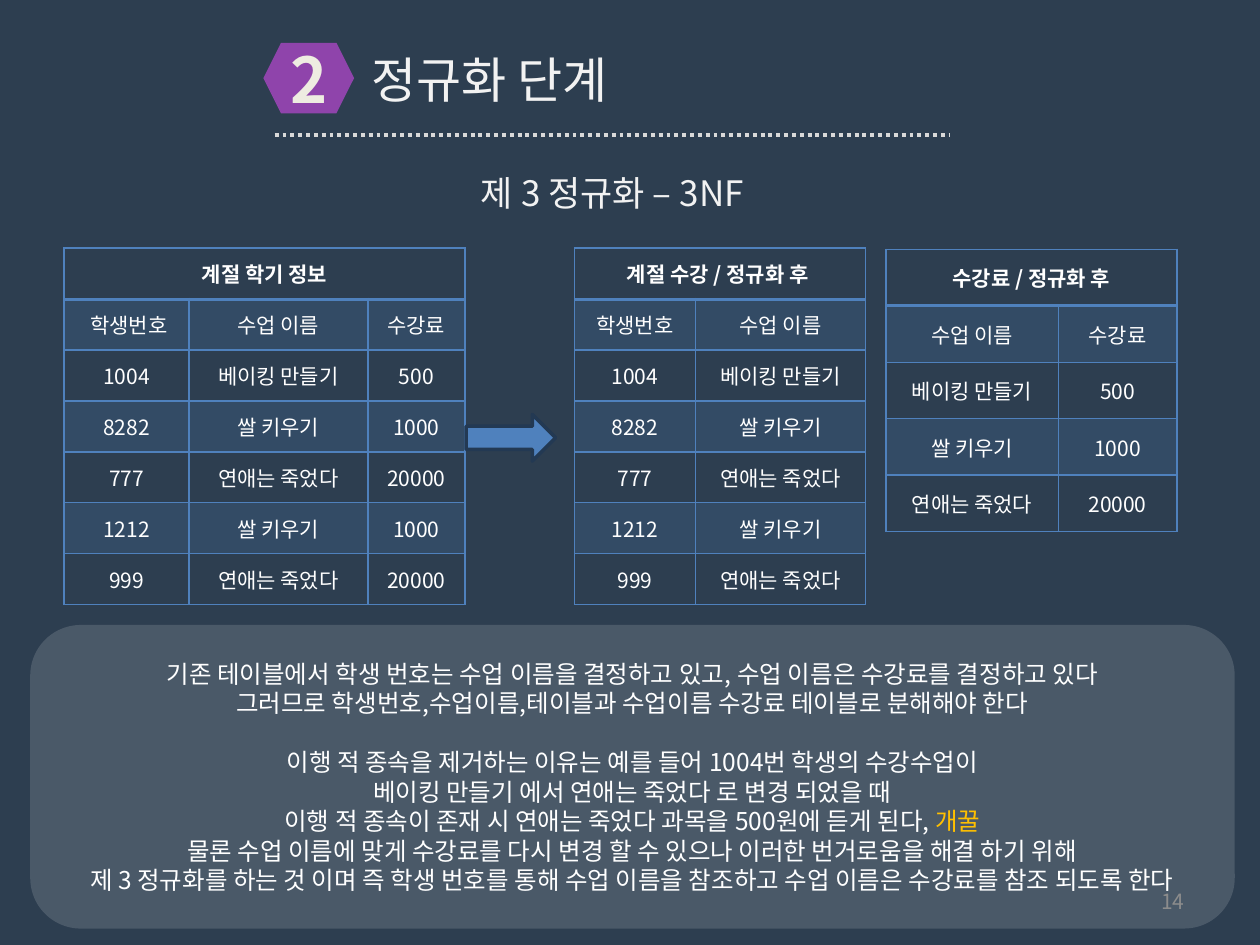
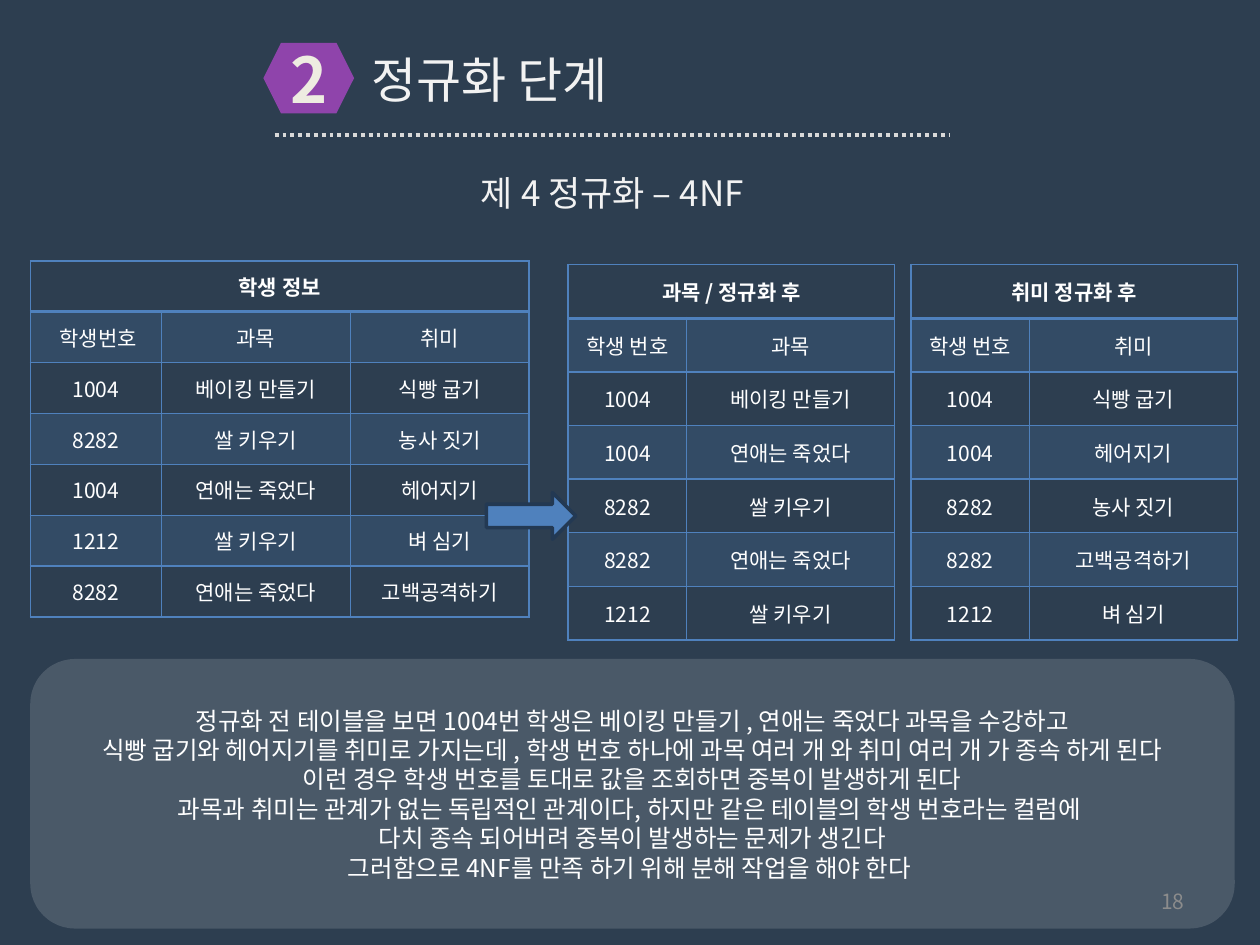
"""Build two slides that explain the third and fourth normal forms."""
from lxml import etree
from pptx import Presentation
from pptx.dml.color import RGBColor
from pptx.enum.dml import MSO_LINE
from pptx.enum.shapes import MSO_CONNECTOR, MSO_SHAPE
from pptx.enum.text import MSO_ANCHOR, MSO_AUTO_SIZE, PP_ALIGN
from pptx.oxml import parse_xml
from pptx.oxml.ns import nsdecls, qn
from pptx.util import Inches, Pt

NAVY = RGBColor(0x2D, 0x3E, 0x50)
PURPLE = RGBColor(0x8F, 0x44, 0xAB)
CREAM = RGBColor(0xEE, 0xEC, 0xE1)
PALE = RGBColor(0xF2, 0xF2, 0xF2)
DOTS = RGBColor(0xD9, 0xD9, 0xD9)
BLUE = RGBColor(0x4F, 0x81, 0xBD)
DARK_BLUE = RGBColor(0x23, 0x39, 0x53)
WHITE = RGBColor(0xFF, 0xFF, 0xFF)
AMBER = RGBColor(0xFF, 0xC0, 0x00)
GREY = RGBColor(0x8C, 0x8C, 0x8C)
FONT = "Noto Sans CJK KR"

SECTION_STYLE = {"size": Pt(28), "bold": False}
NUMBER_STYLE = {"size": Pt(36), "bold": True}
SUBTITLE_STYLE = {"size": Pt(20), "bold": False}
HEADING_STYLE = {"size": Pt(12), "bold": True}
CELL_STYLE = {"size": Pt(12), "bold": False}
NOTE_STYLE = {"size": Pt(14), "bold": False}
NOTE_LINE = Pt(16.8)

SLIDES = [
    {
        "subtitle": "제 3 정규화 – 3NF",
        "page": "14",
        "tables": [
            {"at": (0.51, 1.97), "columns": (0.99, 1.42, 0.77), "height": 2.83,
             "heading": "계절 학기 정보",
             "rows": [(" 학생번호", "수업 이름", "수강료"),
                      ("1004", "베이킹 만들기", "500"),
                      ("8282", "쌀 키우기", "1000"),
                      ("777", "연애는 죽었다", "20000"),
                      ("1212", "쌀 키우기", "1000"),
                      ("999", "연애는 죽었다", "20000")]},
            {"at": (4.56, 1.97), "columns": (0.96, 1.35), "height": 2.83,
             "heading": "계절 수강 / 정규화 후 ",
             "rows": [("학생번호", "수업 이름"),
                      ("1004", "베이킹 만들기"),
                      ("8282", "쌀 키우기"),
                      ("777", "연애는 죽었다"),
                      ("1212", "쌀 키우기"),
                      ("999", "연애는 죽었다")]},
            {"at": (7.03, 1.98), "columns": (1.37, 0.94), "height": 2.24,
             "heading": "수강료 / 정규화 후",
             "rows": [("수업 이름", "수강료"),
                      ("베이킹 만들기", "500"),
                      ("쌀 키우기", "1000"),
                      ("연애는 죽었다", "20000")]},
        ],
        "arrow": (3.7, 3.29),
        "note_top": 4.96,
        "note_blocks": [
            [[("기존 테이블에서 학생 번호는 수업 이름을 결정하고 있고, 수업 이름은 수강료를 결정하고 있다", WHITE)],
             [("그러므로 학생번호,수업이름,테이블과 수업이름 수강료 테이블로 분해해야 한다", WHITE)]],
            [[("이행 적 종속을 제거하는 이유는 예를 들어 1004번 학생의 수강수업이", WHITE)],
             [(" 베이킹 만들기 에서 연애는 죽었다 로 변경 되었을 때 ", WHITE)],
             [("이행 적 종속이 존재 시 연애는 죽었다 과목을 500원에 듣게 된다,", WHITE), (" 개꿀", AMBER)],
             [("물론 수업 이름에 맞게 수강료를 다시 변경 할 수 있으나 이러한 번거로움을 해결 하기 위해", WHITE)],
             [("제 3 정규화를 하는 것 이며 즉 학생 번호를 통해 수업 이름을 참조하고 "
               "수업 이름은 수강료를 참조 되도록 한다", WHITE)]],
        ],
    },
    {
        "subtitle": "제 4 정규화 – 4NF",
        "page": "18",
        "tables": [
            {"at": (0.24, 2.07), "columns": (1.04, 1.5, 1.42), "height": 2.83,
             "heading": "학생 정보",
             "rows": [(" 학생번호", "과목", "취미"),
                      ("1004", "베이킹 만들기", "식빵 굽기"),
                      ("8282", "쌀 키우기", "농사 짓기"),
                      ("1004", "연애는 죽었다", "헤어지기"),
                      ("1212", "쌀 키우기", "벼 심기"),
                      ("8282", "연애는 죽었다", "고백공격하기")]},
            {"at": (4.51, 2.1), "columns": (0.94, 1.65), "height": 2.98,
             "heading": "과목 / 정규화 후",
             "rows": [("학생 번호", "과목"),
                      ("1004", "베이킹 만들기"),
                      ("1004", "연애는 죽었다"),
                      ("8282", "쌀 키우기"),
                      ("8282", "연애는 죽었다"),
                      ("1212", "쌀 키우기")]},
            {"at": (7.23, 2.1), "columns": (0.94, 1.65), "height": 2.98,
             "heading": "취미 정규화 후",
             "rows": [("학생 번호", "취미"),
                      ("1004", "식빵 굽기"),
                      ("1004", "헤어지기"),
                      ("8282", "농사 짓기"),
                      ("8282", "고백공격하기"),
                      ("1212", "벼 심기")]},
        ],
        "arrow": (3.86, 3.91),
        "note_top": 5.23,
        "note_blocks": [
            [[("정규화 전 테이블을 보면 1004번 학생은 베이킹 만들기 , 연애는 죽었다 과목을 수강하고", WHITE)],
             [("식빵 굽기와 헤어지기를 취미로 가지는데 , 학생 번호 하나에 과목 여러 개 와 "
               "취미 여러 개 가 종속 하게 된다", WHITE)],
             [("이런 경우 학생 번호를 토대로 값을 조회하면 중복이 발생하게 된다", WHITE)],
             [("과목과 취미는 관계가 없는 독립적인 관계이다, 하지만 같은 테이블의 학생 번호라는 컬럼에 ", WHITE)],
             [("다치 종속 되어버려 중복이 발생하는 문제가 생긴다", WHITE)],
             [("그러함으로 4NF를 만족 하기 위해 분해 작업을 해야 한다 ", WHITE)]],
        ],
    },
]


def write(paragraph, text, style, color, align=PP_ALIGN.CENTER):
    """Add a run in the shared font to an aligned paragraph."""
    paragraph.alignment = align
    run = paragraph.add_run()
    run.text = text
    for attribute, value in {"name": FONT, **style}.items():
        setattr(run.font, attribute, value)
    run.font.color.rgb = color
    east_asian = etree.SubElement(run.font._element, qn("a:ea"))
    east_asian.set("typeface", FONT)


def fill_translucent(fill, color, percent):
    """Fill with a colour at the given opacity."""
    fill.solid()
    fill.fore_color.rgb = color
    color_node = fill._xPr.find(qn("a:solidFill"))[0]
    etree.SubElement(color_node, qn("a:alpha")).set("val", str(percent * 1000))


prs = Presentation()
prs.slide_width, prs.slide_height = Inches(10), Inches(7.5)
background = prs.slide_master.background.fill
background.solid()
background.fore_color.rgb = NAVY

for content in SLIDES:
    slide = prs.slides.add_slide(prs.slide_layouts[5])
    shapes = slide.shapes

    section = shapes.title
    place = {"left": 2.85, "top": 0.34, "width": 5.28, "height": 0.57}
    for attribute, value in place.items():
        setattr(section, attribute, Inches(value))
    write(section.text_frame.paragraphs[0], "정규화 단계", SECTION_STYLE, PALE, PP_ALIGN.LEFT)

    badge = shapes.add_shape(MSO_SHAPE.HEXAGON, Inches(2.09), Inches(0.34), Inches(0.72), Inches(0.56))
    badge.shadow.inherit = False
    badge.fill.solid()
    badge.fill.fore_color.rgb = PURPLE
    badge.line.fill.background()
    write(badge.text_frame.paragraphs[0], "2", NUMBER_STYLE, CREAM)

    divider = shapes.add_connector(MSO_CONNECTOR.STRAIGHT, Inches(2.18), Inches(1.07), Inches(7.54), Inches(1.07))
    divider.line.color.rgb = DOTS
    divider.line.width = Pt(2.25)
    divider.line.dash_style = MSO_LINE.ROUND_DOT
    etree.SubElement(divider._element.spPr, qn("a:effectLst"))

    subtitle = shapes.add_textbox(Inches(2.22), Inches(1.31), Inches(5.28), Inches(0.44))
    write(subtitle.text_frame.paragraphs[0], content["subtitle"], SUBTITLE_STYLE, PALE)

    for relation in content["tables"]:
        left, top = relation["at"]
        columns = relation["columns"]
        rows = [(relation["heading"],) + ("",) * (len(columns) - 1)] + relation["rows"]
        table = shapes.add_table(len(rows), len(columns), Inches(left), Inches(top),
                                 Inches(sum(columns)), Inches(relation["height"])).table
        table.first_row = table.horz_banding = False
        for column, width in zip(table.columns, columns):
            column.width = Inches(width)
        for row_index, row in enumerate(rows):
            table.rows[row_index].height = Inches(relation["height"] / len(rows))
            style = CELL_STYLE if row_index else HEADING_STYLE
            for column_index, value in enumerate(row):
                cell = table.cell(row_index, column_index)
                cell.vertical_anchor = MSO_ANCHOR.MIDDLE
                if value:
                    write(cell.text_frame.paragraphs[0], value, style, WHITE)
                borders = {"L": 1, "R": 1,
                           "T": 2 if row_index == 1 else 1,
                           "B": 2 if row_index == 0 else 1}
                for side, points in borders.items():
                    cell._tc.get_or_add_tcPr().append(parse_xml(
                        f'<a:ln{side} {nsdecls("a")} w="{Pt(points)}"><a:solidFill>'
                        f'<a:srgbClr val="{BLUE}"/></a:solidFill></a:ln{side}>'))
                if row_index % 2:
                    fill_translucent(cell.fill, BLUE, 20)
                else:
                    cell.fill.background()
        table.cell(0, 0).merge(table.cell(0, len(columns) - 1))

    arrow_left, arrow_top = content["arrow"]
    arrow = shapes.add_shape(MSO_SHAPE.RIGHT_ARROW, Inches(arrow_left), Inches(arrow_top), Inches(0.71), Inches(0.37))
    arrow.shadow.inherit = False
    arrow.fill.solid()
    arrow.fill.fore_color.rgb = BLUE
    arrow.line.color.rgb = DARK_BLUE
    arrow.line.width = Pt(2)

    note_top = content["note_top"]
    note = shapes.add_shape(MSO_SHAPE.ROUNDED_RECTANGLE, Inches(0.24), Inches(note_top),
                            Inches(9.56), Inches(7.37 - note_top))
    note.shadow.inherit = False
    fill_translucent(note.fill, WHITE, 14)
    note.line.fill.background()
    paragraph = note.text_frame.paragraphs[0]
    for block_index, block in enumerate(content["note_blocks"]):
        for line_index, line in enumerate(block):
            if block_index or line_index:
                paragraph = note.text_frame.add_paragraph()
            paragraph.line_spacing = NOTE_LINE
            if block_index and not line_index:
                paragraph.space_before = NOTE_LINE
            for text, color in line:
                write(paragraph, text, NOTE_STYLE, color)

    page = shapes.add_textbox(Inches(7.17), Inches(6.95), Inches(2.33), Inches(0.4))
    write(page.text_frame.paragraphs[0], content["page"], CELL_STYLE, GREY, PP_ALIGN.RIGHT)

    frame_format = {"word_wrap": True, "auto_size": MSO_AUTO_SIZE.NONE, "vertical_anchor": MSO_ANCHOR.MIDDLE}
    for part in (section, badge, subtitle, note, page):
        for attribute, value in frame_format.items():
            setattr(part.text_frame, attribute, value)

prs.save("out.pptx")
